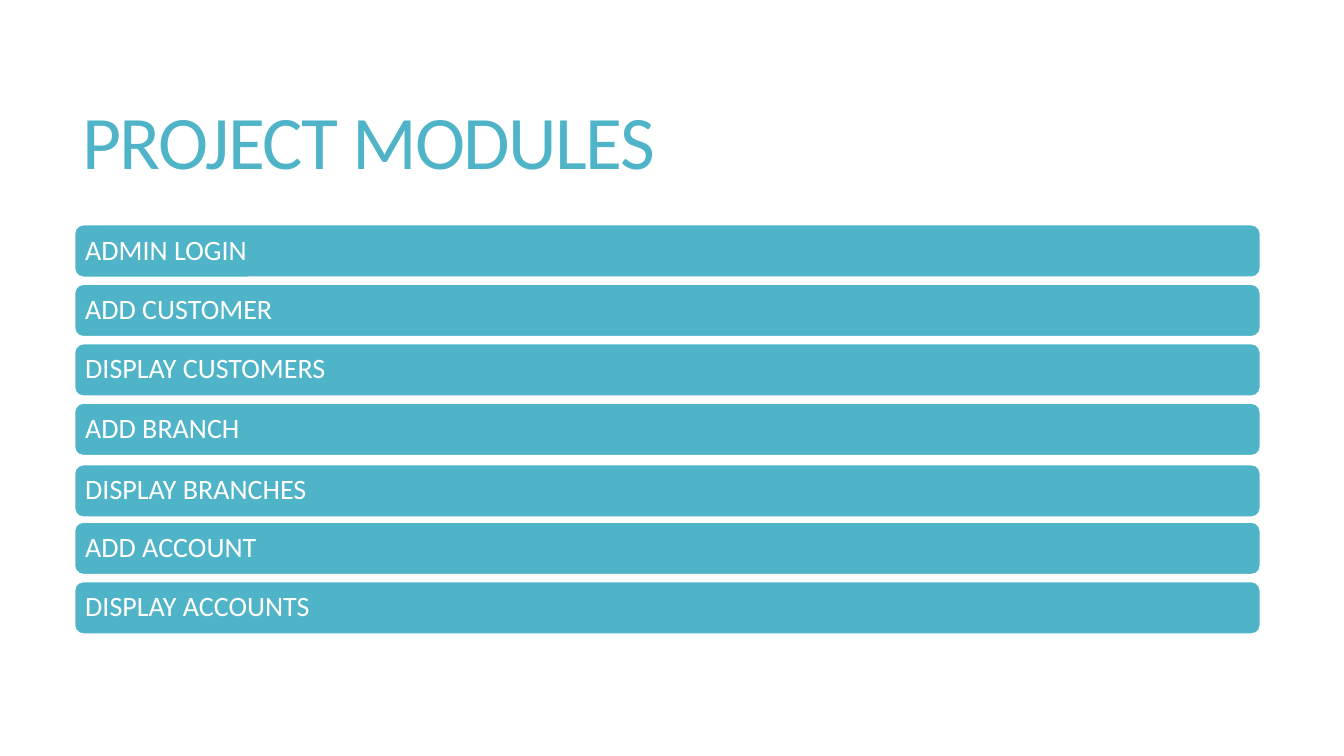
from pptx import Presentation
from pptx.dml.color import RGBColor
from pptx.enum.shapes import MSO_SHAPE
from pptx.enum.text import MSO_ANCHOR, PP_ALIGN
from pptx.util import Inches, Pt

TEAL = RGBColor(0x50, 0xB4, 0xC8)
WHITE = RGBColor(0xFF, 0xFF, 0xFF)
FONT = "Calibri"
ROUNDED = MSO_SHAPE.ROUNDED_RECTANGLE
MIDDLE = MSO_ANCHOR.MIDDLE
LEFT = PP_ALIGN.LEFT

MODULES = [
    "ADMIN LOGIN",
    "ADD CUSTOMER",
    "DISPLAY CUSTOMERS",
    "ADD BRANCH",
    "DISPLAY BRANCHES",
    "ADD ACCOUNT",
    "DISPLAY ACCOUNTS",
]
BAR_LEFT, BAR_WIDTH, BAR_HEIGHT = 0.74, 11.76, 0.52
FIRST_TOP, ROW_PITCH = 2.23, 0.59
ROW_NUDGE = {"DISPLAY BRANCHES": 0.02}  # this bar sits slightly below its row


def write_line(text_frame, text, size, color, line_spacing):
    """Fill the frame with one left-aligned, vertically centred line."""
    text_frame.word_wrap = True
    text_frame.vertical_anchor = MIDDLE
    paragraph = text_frame.paragraphs[0]
    paragraph.alignment = LEFT
    paragraph.line_spacing = line_spacing
    run = paragraph.add_run()
    run.text = text
    run.font.name = FONT
    run.font.size = Pt(size)
    run.font.color.rgb = color
    return run


presentation = Presentation()
presentation.slide_width = Inches(13.33)
presentation.slide_height = Inches(7.5)
slide = presentation.slides.add_slide(presentation.slide_layouts[6])

# Title
title = slide.shapes.add_textbox(Inches(0.72), Inches(0.55), Inches(11.78), Inches(1.81))
title_run = write_line(title.text_frame, "PROJECT MODULES", 54, TEAL, 0.85)
title_run.font._element.set("spc", "-120")

# One bar per module
for row, module in enumerate(MODULES):
    top = FIRST_TOP + row * ROW_PITCH + ROW_NUDGE.get(module, 0)
    bar = slide.shapes.add_shape(
        ROUNDED, Inches(BAR_LEFT), Inches(top), Inches(BAR_WIDTH), Inches(BAR_HEIGHT)
    )
    bar.shadow.inherit = False
    bar.fill.solid()
    bar.fill.fore_color.rgb = TEAL
    bar.line.color.rgb = WHITE
    bar.line.width = Pt(1)
    frame = bar.text_frame
    frame.margin_left = frame.margin_right = Inches(0.08)
    frame.margin_top = frame.margin_bottom = Inches(0.08)
    write_line(frame, module, 20, WHITE, 0.9)

presentation.save("out.pptx")
